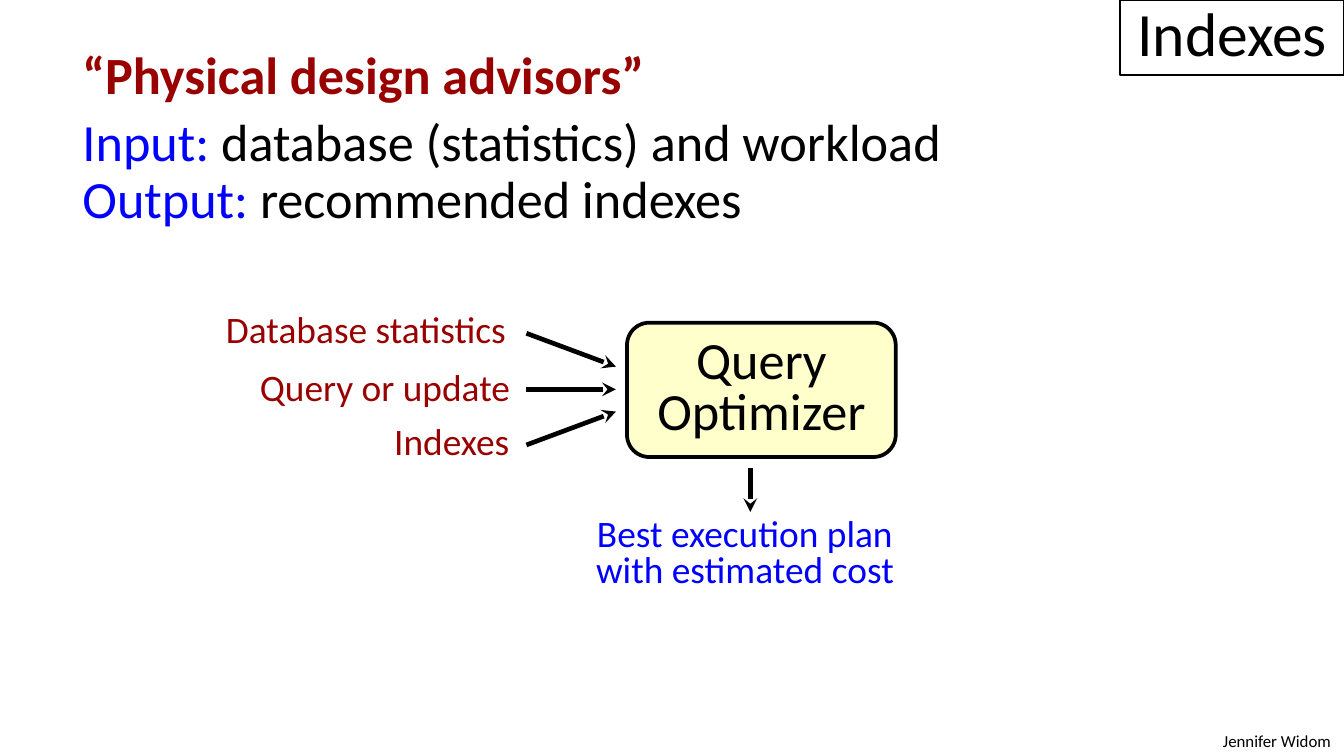
from lxml import etree
from pptx import Presentation
from pptx.dml.color import RGBColor
from pptx.enum.shapes import MSO_CONNECTOR, MSO_SHAPE
from pptx.enum.text import MSO_ANCHOR, PP_ALIGN
from pptx.oxml.ns import qn
from pptx.util import Cm, Pt

STRAIGHT = MSO_CONNECTOR.STRAIGHT
ROUNDED = MSO_SHAPE.ROUNDED_RECTANGLE
LEFT, CENTER, RIGHT = PP_ALIGN.LEFT, PP_ALIGN.CENTER, PP_ALIGN.RIGHT
TOP, MIDDLE, BOTTOM = MSO_ANCHOR.TOP, MSO_ANCHOR.MIDDLE, MSO_ANCHOR.BOTTOM

FONT = "Calibri"
COLORS = {
    "black": "000000",
    "red": "990000",
    "blue": "0000FF",
    "cream": "FFFFCC",
}


def rgb(name):
    return RGBColor.from_string(COLORS[name])


def place(shape, left, top, width, height):
    shape.left, shape.top = Cm(left), Cm(top)
    shape.width, shape.height = Cm(width), Cm(height)


def write(shape, paragraphs, size, align=LEFT, anchor=TOP, spacing=None):
    """Fill a shape with paragraphs, each a list of (text, color, bold) runs."""
    frame = shape.text_frame
    frame.word_wrap = True
    frame.vertical_anchor = anchor
    for index, runs in enumerate(paragraphs):
        para = frame.add_paragraph() if index else frame.paragraphs[0]
        para.alignment = align
        para.line_spacing = spacing
        for text, color, bold in runs:
            span = para.add_run()
            span.text = text
            span.font.name = FONT
            span.font.size = Pt(size)
            span.font.bold = bold
            span.font.color.rgb = rgb(color)


def add_text(slide, bounds, lines, size, color, align=LEFT, spacing=None):
    box = slide.shapes.add_textbox(*map(Cm, bounds))
    write(box, [[(line, color, False)] for line in lines], size, align, spacing=spacing)


def add_title(slide, text):
    title = slide.shapes.title
    place(title, 21.17, 0, 4.23, 1.42)
    title.line.color.rgb = rgb("black")
    title.line.width = Pt(0.75)
    write(title, [[(text, "black", False)]], 33, CENTER, BOTTOM)


def add_summary(slide):
    box = slide.shapes.add_textbox(Cm(1.06), Cm(0.8), Cm(23.07), Cm(12.65))
    write(box, [
        [("“Physical design advisors”", "red", True)],
        [("Input: ", "blue", False),
         ("database (statistics) and workload", "black", False)],
        [("Output: ", "blue", False), ("recommended indexes", "black", False)],
    ], 28, spacing=0.9)
    paragraphs = box.text_frame.paragraphs
    paragraphs[0].space_after = Pt(6)
    for para in paragraphs:
        properties = para._p.get_or_add_pPr()
        properties.set("marL", str(Cm(0.76)))
        properties.set("indent", str(Cm(-0.51)))


def add_optimizer(slide):
    box = slide.shapes.add_shape(ROUNDED, Cm(11.85), Cm(6.1), Cm(5.08), Cm(2.54))
    box.shadow.inherit = False
    box.fill.solid()
    box.fill.fore_color.rgb = rgb("cream")
    box.line.color.rgb = rgb("black")
    box.line.width = Pt(2)
    write(box, [[("Query Optimizer", "black", False)]], 28, CENTER, MIDDLE, 0.8)


def add_arrow(slide, start, end):
    arrow = slide.shapes.add_connector(STRAIGHT, *map(Cm, start + end))
    arrow.line.color.rgb = rgb("black")
    arrow.line.width = Pt(2.5)
    etree.SubElement(arrow.line._get_or_add_ln(), qn("a:tailEnd"), type="stealth")
    etree.SubElement(arrow._element.spPr, qn("a:effectLst"))


def main():
    deck = Presentation()
    deck.slide_width, deck.slide_height = Cm(25.4), Cm(14.29)
    slide = deck.slides.add_slide(deck.slide_layouts[5])

    add_text(slide, (22.66, 13.69, 2.74, 0.64), ["Jennifer Widom"], 9, "black", RIGHT)
    add_title(slide, "Indexes")
    add_summary(slide)
    add_optimizer(slide)

    # label, label left, top and width, arrow start and end heights
    inputs = [
        ("Database statistics", 4.02, 5.66, 6.17, 6.3, 6.93),
        ("Query or update", 4.66, 6.76, 5.31, 7.36, 7.36),
        ("Indexes", 7.2, 7.78, 3.38, 8.41, 7.78),
    ]
    for label, left, top, width, start_y, end_y in inputs:
        add_text(slide, (left, top, width, 1.11), [label], 20, "red")
        add_arrow(slide, (9.95, start_y), (11.64, end_y))

    add_arrow(slide, (14.18, 8.84), (14.18, 9.68))
    add_text(slide, (10.8, 9.68, 6.56, 1.65),
             ["Best execution plan", "with estimated cost"],
             20, "blue", CENTER, 0.8)

    deck.save("out.pptx")


if __name__ == "__main__":
    main()
